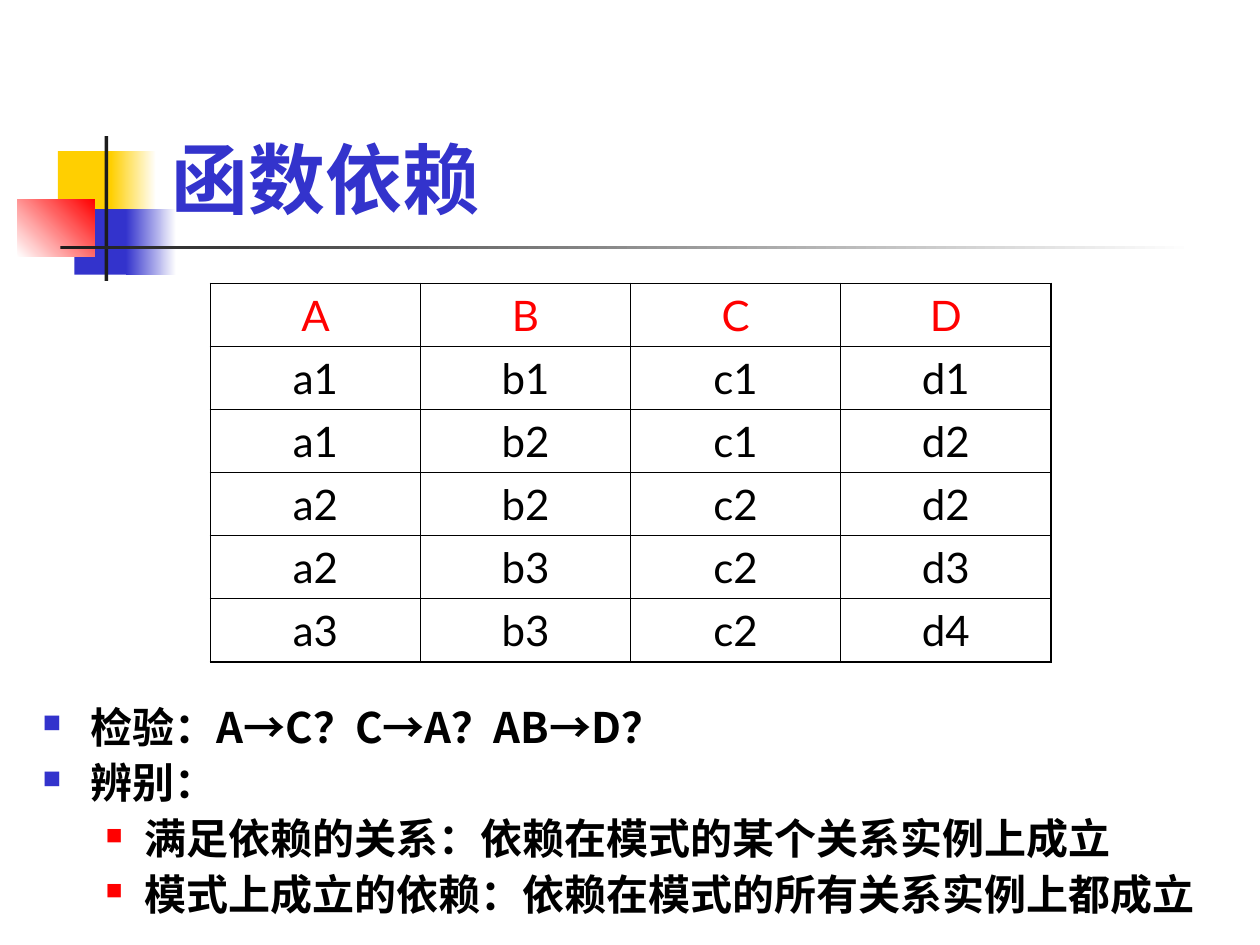
from dataclasses import dataclass

from lxml import etree
from pptx import Presentation
from pptx.dml.color import RGBColor
from pptx.enum.shapes import MSO_SHAPE
from pptx.enum.text import MSO_ANCHOR, MSO_AUTO_SIZE, PP_ALIGN
from pptx.oxml.ns import qn
from pptx.util import Inches, Pt

RECT = MSO_SHAPE.RECTANGLE
BOTTOM = MSO_ANCHOR.BOTTOM
FIT = MSO_AUTO_SIZE.TEXT_TO_FIT_SHAPE
CENTER = PP_ALIGN.CENTER


@dataclass(frozen=True)
class Theme:
    gold: str = "FFCF01"
    blue: str = "3333CC"
    red: str = "FF0000"
    dark: str = "1C1C1C"
    black: str = "000000"
    white: str = "FFFFFF"
    latin: str = "Lato"
    han: str = "Noto Sans CJK SC"
    title: int = 44
    text: int = 24
    thin: float = 0.45
    thick: float = 1.08


@dataclass(frozen=True)
class Block:
    left: float
    top: float
    width: float
    height: float
    color: str
    end: str = ""
    angle: int = 0


@dataclass(frozen=True)
class Level:
    margin: float
    hang: float
    color: str
    size: int


@dataclass(frozen=True)
class Item:
    text: str
    level: int


T = Theme()

BLOCKS = [
    Block(0.46, 1.2, 0.48, 0.52, T.gold),
    Block(0.88, 1.2, 0.36, 0.52, T.gold, T.white),
    Block(0.59, 1.66, 0.46, 0.52, T.blue),
    Block(1, 1.66, 0.4, 0.52, T.blue, T.white),
    Block(0.14, 1.58, 0.61, 0.46, T.white, T.red, 45),
    Block(0.83, 1.08, 0.03, 1.15, T.dark),
    Block(0.48, 1.95, 9, 0.03, T.dark, T.white),
]
LEVELS = [Level(0.38, 0.38, T.blue, 60), Level(0.81, 0.31, T.red, 55)]
ITEMS = [
    Item("检验：A→C？C→A？AB→D？", 0),
    Item("辨别：", 0),
    Item("满足依赖的关系：依赖在模式的某个关系实例上成立", 1),
    Item("模式上成立的依赖：依赖在模式的所有关系实例上都成立", 1),
]
ROWS = [
    "A B C D".split(),
    "a1 b1 c1 d1".split(),
    "a1 b2 c1 d2".split(),
    "a2 b2 c2 d2".split(),
    "a2 b3 c2 d3".split(),
    "a3 b3 c2 d4".split(),
]


def add_node(parent, tag: str, **attrs: str):
    return etree.SubElement(parent, qn(tag), attrs)


def add_run(para, text: str, size: int, face: str, color: str, bold=False) -> None:
    run = para.add_run()
    run.text = text
    font = run.font
    font.size, font.name, font.bold = Pt(size), face, bold
    font.color.rgb = RGBColor.from_string(color)
    add_node(font._element, "a:ea", typeface=T.han)


def draw_block(slide, block: Block) -> None:
    shape = slide.shapes.add_shape(
        RECT, Inches(block.left), Inches(block.top),
        Inches(block.width), Inches(block.height))
    shape.shadow.inherit = False
    shape.line.fill.background()
    fill = shape.fill
    if block.end:
        fill.gradient()
        fill.gradient_angle = block.angle
        for stop, color in zip(fill.gradient_stops, (block.color, block.end)):
            stop.color.rgb = RGBColor.from_string(color)
    else:
        fill.solid()
        fill.fore_color.rgb = RGBColor.from_string(block.color)


def draw_title(slide, text: str) -> None:
    box = slide.shapes.add_textbox(
        Inches(1.26), Inches(0.23), Inches(8.52), Inches(1.6))
    frame = box.text_frame
    frame.word_wrap = True
    frame.vertical_anchor = BOTTOM
    add_run(frame.paragraphs[0], text, T.title, T.latin, T.blue, True)


def set_bullet(para, level: Level) -> None:
    props = para._p.get_or_add_pPr()
    props.set("marL", str(Inches(level.margin)))
    props.set("indent", str(-Inches(level.hang)))
    add_node(add_node(props, "a:buClr"), "a:srgbClr", val=level.color)
    add_node(props, "a:buSzPct", val=str(level.size * 1000))
    add_node(props, "a:buFont", typeface="Wingdings", charset="2")
    add_node(props, "a:buChar", char="n")


def draw_list(slide, items: list[Item]) -> None:
    box = slide.shapes.add_textbox(
        Inches(0.24), Inches(5.56), Inches(9.65), Inches(1.81))
    frame = box.text_frame
    frame.word_wrap = True
    frame.auto_size = FIT
    for i, item in enumerate(items):
        para = frame.add_paragraph() if i else frame.paragraphs[0]
        set_bullet(para, LEVELS[item.level])
        para.level = item.level
        para.line_spacing = 0.9
        para.space_before = Pt(6 if i else 0)
        add_run(para, item.text, T.text, T.han, T.black, True)


def set_edges(cell, outer: dict[str, bool]) -> None:
    props = cell._tc.get_or_add_tcPr()
    for side, thick in outer.items():
        width = Pt(T.thick if thick else T.thin)
        line = add_node(props, f"a:ln{side}", w=str(width))
        add_node(add_node(line, "a:solidFill"), "a:srgbClr", val=T.black)


def draw_table(slide, rows: list[list[str]]) -> None:
    high, wide = len(rows), len(rows[0])
    table = slide.shapes.add_table(
        high, wide, Inches(1.67), Inches(2.25), Inches(6.67), Inches(3)).table
    table.first_row = table.horz_banding = False
    for r, row in enumerate(rows):
        for c, text in enumerate(row):
            cell = table.cell(r, c)
            set_edges(cell, {"L": c == 0, "R": c == wide - 1,
                             "T": r == 0, "B": r == high - 1})
            cell.fill.background()
            para = cell.text_frame.paragraphs[0]
            para.alignment = CENTER
            add_run(para, text, T.text, T.latin, T.black if r else T.red)


def main() -> None:
    deck = Presentation()
    deck.slide_width, deck.slide_height = Inches(10), Inches(7.5)
    slide = deck.slides.add_slide(deck.slide_layouts[6])
    # Corner blocks and rules
    for block in BLOCKS:
        draw_block(slide, block)
    # Title, questions and sample relation
    draw_title(slide, "函数依赖")
    draw_list(slide, ITEMS)
    draw_table(slide, ROWS)
    deck.save("out.pptx")


if __name__ == "__main__":
    main()
